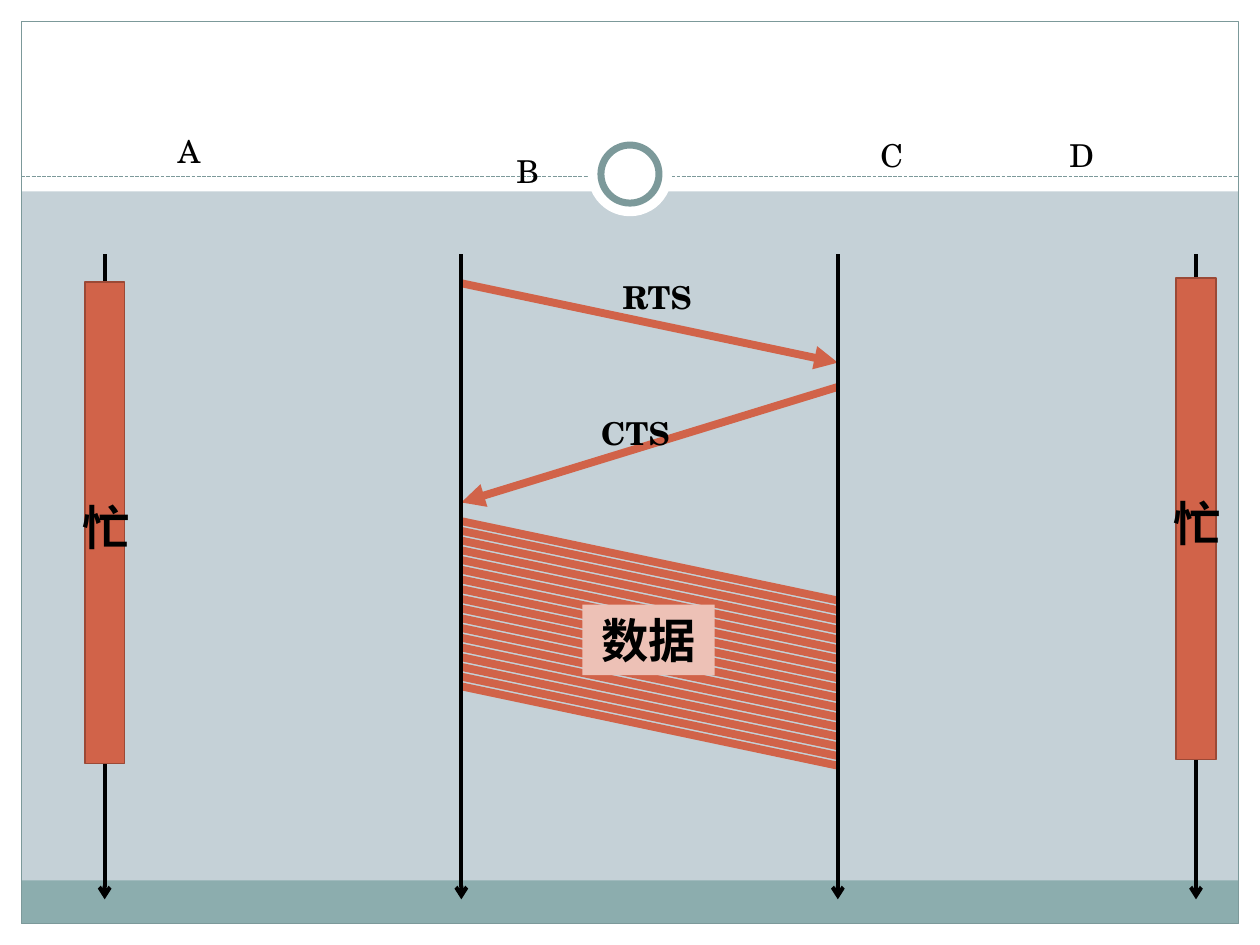
from dataclasses import dataclass
from typing import NamedTuple

from lxml import etree
from pptx import Presentation
from pptx import util as u
from pptx.dml.color import RGBColor
from pptx.enum import dml, shapes, text
from pptx.oxml.ns import qn

Cm, Pt = u.Cm, u.Pt


class Box(NamedTuple):
    """An area of the slide, in centimetres."""
    left: float
    top: float
    width: float
    height: float

    def inner(self, left, top, width, height):
        return Box(self.left + left, self.top + top, width, height)

    def point(self, x, y):
        return self.left + x, self.top + y


@dataclass(frozen=True)
class Theme:
    background: str = "C5D1D7"
    paper: str = "FFFFFF"
    ink: str = "000000"
    footer: str = "8CADAE"
    frame: str = "7C999A"
    accent: str = "D16349"
    accent_dark: str = "9B4936"
    accent_pale: str = "EDC1B6"
    latin: str = "TeX Gyre Schola"
    chinese: str = "Noto Sans CJK SC"
    label_size: float = 18
    chinese_size: float = 27
    hairline: float = 0.75
    axis_line: float = 2.25
    message_line: float = 4.5


THEME = Theme()
RECTANGLE = shapes.MSO_SHAPE.RECTANGLE
OVAL = shapes.MSO_SHAPE.OVAL


def rgb(color):
    return RGBColor.from_string(color)


def add_block(slide, box, fill=None, line=None, line_width=THEME.hairline, kind=RECTANGLE):
    shape = slide.shapes.add_shape(kind, *map(Cm, box))
    shape.shadow.inherit = False
    if fill:
        shape.fill.solid()
        shape.fill.fore_color.rgb = rgb(fill)
    else:
        shape.fill.background()
    if line:
        shape.line.color.rgb = rgb(line)
        shape.line.width = Pt(line_width)
    else:
        shape.line.fill.background()
    return shape


def add_line(slide, start, end, color, width, arrow=None, dash=None):
    line = slide.shapes.add_connector(
        shapes.MSO_CONNECTOR.STRAIGHT, *map(Cm, (*start, *end)))
    line.line.color.rgb = rgb(color)
    line.line.width = Pt(width)
    if dash:
        line.line.dash_style = dash
    properties = line._element.spPr
    if arrow:
        etree.SubElement(properties.find(qn("a:ln")), qn("a:tailEnd"), type=arrow)
    etree.SubElement(properties, qn("a:effectLst"))


def write(shape, words, chinese=False, bold=True, align=text.PP_ALIGN.LEFT):
    frame = shape.text_frame
    frame.word_wrap = True
    frame.auto_size = text.MSO_AUTO_SIZE.SHAPE_TO_FIT_TEXT
    frame.text = words
    paragraph = frame.paragraphs[0]
    paragraph.alignment = align
    font = paragraph.font
    font.name = THEME.chinese if chinese else THEME.latin
    font.size = Pt(THEME.chinese_size if chinese else THEME.label_size)
    font.bold = bold
    font.color.rgb = rgb(THEME.ink)
    if chinese:
        defaults = paragraph._p.pPr.find(qn("a:defRPr"))
        etree.SubElement(defaults, qn("a:ea"), typeface=THEME.chinese)


def add_label(slide, box, words, **style):
    write(slide.shapes.add_textbox(*map(Cm, box)), words, **style)


def draw_frame(slide, box):
    """White margins, header, footer band, border and ring."""
    margin, header, footer = 0.43, 3.86, 0.87
    inside = box.width - 2 * margin
    bottom = box.height - margin
    for edge in ((0, bottom, box.width, margin),
                 (0, 0, box.width, header),
                 (0, 0, margin, box.height),
                 (box.width - margin, 0, margin, box.height)):
        add_block(slide, box.inner(*edge), THEME.paper)
    add_block(slide, box.inner(margin, bottom - footer, inside, footer), THEME.footer)
    add_block(slide, box.inner(margin, margin, inside, bottom - margin), line=THEME.frame)

    rule = 3.56
    add_line(slide, box.point(margin, rule), box.point(box.width - margin, rule),
             THEME.frame, THEME.hairline, dash=dml.MSO_LINE.SQUARE_DOT)
    center_y = 3.51
    for diameter, line in ((1.7, None), (1.17, THEME.frame)):
        ring = box.inner((box.width - diameter) / 2, center_y - diameter / 2,
                         diameter, diameter)
        add_block(slide, ring, THEME.paper, line, 4, OVAL)


def draw_station_names(slide, box):
    for name, left, top in (("A", 0, 0), ("B", 6.83, 0.41),
                            ("C", 14.17, 0.08), ("D", 17.98, 0.08)):
        add_label(slide, box.inner(left, top, 2.01, 1.02), name, bold=False)


def draw_axis(slide, box, x):
    add_line(slide, box.point(x, 0), box.point(x, box.height),
             THEME.ink, THEME.axis_line, "arrow")


def draw_busy_station(slide, box, x, top):
    """A time axis with the bar that marks the station as busy."""
    draw_axis(slide, box, x)
    bar = box.inner(x - 0.4, top, 0.8, 9.7)
    add_block(slide, bar, THEME.accent, THEME.accent_dark, 0.9)
    add_label(slide, bar.inner(-0.3, 4.22, 2.39, 1.42), "忙", chinese=True)


def draw_exchange(slide, box):
    """RTS, CTS and data between two axes at the sides of the box."""
    def message(start_x, start_y, end_x, end_y, arrow=None):
        add_line(slide, box.point(start_x, start_y), box.point(end_x, end_y),
                 THEME.accent, THEME.message_line, arrow)

    drop, right = 1.6, box.width
    message(0, 0.58, right, 0.58 + drop, "triangle")
    message(right, 2.67, 0, 5, "triangle")
    add_label(slide, box.inner(3, 0.36, 2.39, 1.02), "RTS")
    add_label(slide, box.inner(2.57, 3.1, 2.39, 1.02), "CTS")

    first, last, count = 5.38, 8.71, 18
    for index in range(count):
        y = first + index * (last - first) / (count - 1)
        message(0.02, y, right + 0.02, y + drop)
    plate = add_block(slide, box.inner(2.44, 7.06, 2.67, 1.42), THEME.accent_pale)
    write(plate, "数据", chinese=True, align=text.PP_ALIGN.CENTER)

    for x in (0, right):
        draw_axis(slide, box, x)


def draw_sequence(slide, box):
    draw_busy_station(slide, box, 0, 0.56)
    draw_busy_station(slide, box, box.width, 0.48)
    draw_exchange(slide, box.inner(7.19, 0, 7.59, box.height))


def main():
    presentation = Presentation()
    presentation.slide_width, presentation.slide_height = Cm(25.4), Cm(19.05)
    slide = presentation.slides.add_slide(presentation.slide_layouts[6])
    slide.background.fill.solid()
    slide.background.fill.fore_color.rgb = rgb(THEME.background)
    draw_frame(slide, Box(0, 0, 25.4, 19.05))
    draw_sequence(slide, Box(2.11, 5.13, 22, 13))
    draw_station_names(slide, Box(3.33, 2.54, 20, 1.43))
    presentation.save("out.pptx")


if __name__ == "__main__":
    main()
